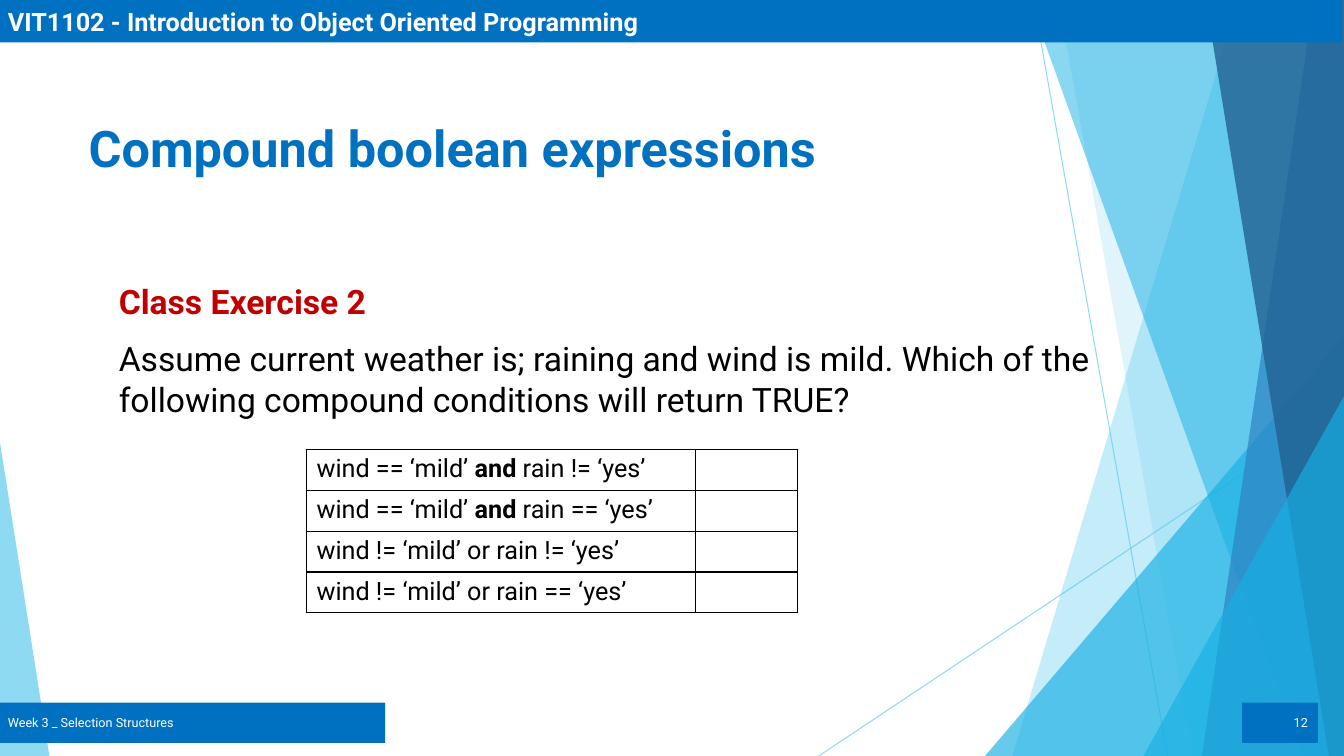
"""Builds the class exercise slide on compound boolean expressions."""
from dataclasses import dataclass

from lxml.etree import SubElement
from pptx import Presentation
from pptx.dml.color import RGBColor
from pptx.enum.shapes import MSO_CONNECTOR as Connector, MSO_SHAPE as Shape
from pptx.enum.text import MSO_ANCHOR as Anchor, PP_ALIGN as Align
from pptx.oxml import parse_xml
from pptx.oxml.ns import nsdecls, qn
from pptx.util import Inches, Pt

WHITE = RGBColor(0xFF, 0xFF, 0xFF)
BLACK = RGBColor(0x00, 0x00, 0x00)
RED = RGBColor(0xC0, 0x00, 0x00)
BLUE = RGBColor(0x00, 0x70, 0xC0)
SKY = RGBColor(0x5F, 0xCB, 0xEF)
CYAN = RGBColor(0x17, 0xB0, 0xE4)
STEEL = RGBColor(0x2E, 0x83, 0xC3)
NAVY = RGBColor(0x22, 0x62, 0x92)
FONT = "Roboto"
WIDTH, HEIGHT = 13.33, 7.5


@dataclass
class Ray:
    """A thin line between two points."""
    start: tuple[float, float]
    end: tuple[float, float]


@dataclass
class Ribbon:
    """A full-height panel from a slanted left edge to the slide's right edge."""
    top_x: float
    bottom_x: float
    color: RGBColor
    opacity: int


@dataclass
class Wedge:
    """A triangle standing on the slide's bottom edge."""
    left: float
    top: float
    width: float
    apex: float
    color: RGBColor
    opacity: int


@dataclass
class Bar:
    """A blue rectangle with white text."""
    text: str
    left: float
    top: float
    width: float
    height: float
    size: int
    bold: bool = False
    align: Align = Align.LEFT


RAYS = [Ray((10.25, 0), (11.58, HEIGHT)), Ray((WIDTH, 4.03), (8.12, HEIGHT))]
PANELS = [
    Ribbon(12.28, 10.04, SKY, 36),
    Ribbon(10.5, 11.83, SKY, 20),
    Wedge(9.77, 3.33, 3.56, 1, CYAN, 66),
    Ribbon(10.21, 12.91, CYAN, 50),
    Ribbon(13.03, 11.92, STEEL, 70),
    Ribbon(11.96, 13.18, NAVY, 80),
    Wedge(11.34, 3.93, 1.99, 1, CYAN, 66),
    Wedge(0, 4.39, 0.49, 0, SKY, 70),
]
BARS = [
    Bar("VIT1102 - Introduction to Object Oriented Programming", -0.02, 0, WIDTH, 0.42, 18, bold=True),
    Bar("12", 12.32, 6.97, 0.75, 0.4, 9, align=Align.RIGHT),
    Bar("Week 3 _ Selection Structures", -0.02, 6.97, 3.84, 0.4, 9),
]
CONDITIONS = [
    ("wind == ‘mild’ ", "and", " rain != ‘yes’"),
    ("wind == ‘mild’ ", "and", " rain == ‘yes’"),
    ("wind != ‘mild’ or rain != ‘yes’",),
    ("wind != ‘mild’ or rain == ‘yes’",),
]


def add_span(para, text: str, *, size: int, color: RGBColor = BLACK, bold: bool = False) -> None:
    """Append formatted text to a paragraph."""
    span = para.add_run()
    span.text = text
    span.font.name = FONT
    span.font.size = Pt(size)
    span.font.bold = bold
    span.font.color.rgb = color


def set_opacity(shape, percent: int) -> None:
    """Make the colours of a shape or line partly transparent."""
    for color in shape.element.spPr.iter(qn("a:srgbClr")):
        SubElement(color, qn("a:alpha"), val=str(percent * 1000))


def paint(shape, color: RGBColor, opacity: int = 100) -> None:
    """Fill a shape without outline or shadow."""
    shape.shadow.inherit = False
    shape.line.fill.background()
    shape.fill.solid()
    shape.fill.fore_color.rgb = color
    if opacity < 100:
        set_opacity(shape, opacity)


def draw_ray(page, ray: Ray) -> None:
    """Draw a thin translucent line."""
    points = [Inches(value) for value in (*ray.start, *ray.end)]
    line = page.shapes.add_connector(Connector.STRAIGHT, *points)
    line.line.color.rgb = SKY
    line.line.width = Pt(0.75)
    set_opacity(line, 70)
    SubElement(line.element.spPr, qn("a:effectLst"))


def draw_panel(page, panel: Ribbon | Wedge) -> None:
    """Draw one translucent background panel."""
    if isinstance(panel, Wedge):
        shape = page.shapes.add_shape(
            Shape.ISOSCELES_TRIANGLE, Inches(panel.left), Inches(panel.top),
            Inches(panel.width), Inches(HEIGHT - panel.top))
        shape.adjustments[0] = panel.apex
    else:
        corners = [(panel.top_x, 0), (WIDTH, 0), (WIDTH, HEIGHT), (panel.bottom_x, HEIGHT)]
        points = [(Inches(x), Inches(y)) for x, y in corners]
        outline = page.shapes.build_freeform(*points[0])
        outline.add_line_segments(points[1:], close=True)
        shape = outline.convert_to_shape()
    paint(shape, panel.color, panel.opacity)


def draw_bar(page, bar: Bar) -> None:
    """Draw a labelled blue bar."""
    shape = page.shapes.add_shape(
        Shape.RECTANGLE, Inches(bar.left), Inches(bar.top), Inches(bar.width), Inches(bar.height))
    paint(shape, BLUE)
    frame = shape.text_frame
    frame.word_wrap = True
    frame.vertical_anchor = Anchor.MIDDLE
    para = frame.paragraphs[0]
    para.alignment = bar.align
    add_span(para, bar.text, size=bar.size, color=WHITE, bold=bar.bold)


def add_box(page, left: float, top: float, width: float, height: float):
    """Add a wrapping text box and return its text frame."""
    box = page.shapes.add_textbox(Inches(left), Inches(top), Inches(width), Inches(height))
    box.text_frame.word_wrap = True
    return box.text_frame


def add_borders(cell) -> None:
    """Give a cell thin black borders on all sides."""
    for index, side in enumerate(("lnL", "lnR", "lnT", "lnB")):
        border = parse_xml(
            f'<a:{side} {nsdecls("a")} w="12700"><a:solidFill>'
            f'<a:srgbClr val="{BLACK}"/></a:solidFill></a:{side}>')
        cell._tc.get_or_add_tcPr().insert(index, border)


def draw_table(page) -> None:
    """Draw the conditions with an empty answer column."""
    table = page.shapes.add_table(
        len(CONDITIONS), 2, Inches(3.04), Inches(4.46), Inches(4.87), Inches(1.62)).table
    table.first_row = table.horz_banding = False
    for column, width in zip(table.columns, (3.86, 1.01)):
        column.width = Inches(width)
    for cell in table.iter_cells():
        cell.fill.background()
        add_borders(cell)
    for row, pieces in enumerate(CONDITIONS):
        para = table.cell(row, 0).text_frame.paragraphs[0]
        for piece in pieces:
            add_span(para, piece, size=18, bold=piece == "and")


def main() -> None:
    """Build and save the deck."""
    deck = Presentation()
    deck.slide_width, deck.slide_height = Inches(WIDTH), Inches(HEIGHT)
    page = deck.slides.add_slide(deck.slide_layouts[6])
    for ray in RAYS:
        draw_ray(page, ray)
    for panel in PANELS:
        draw_panel(page, panel)
    for bar in BARS:
        draw_bar(page, bar)
    title = add_box(page, 0.78, 1.11, 10.42, 0.71)
    add_span(title.paragraphs[0], "Compound boolean expressions", size=36, color=BLUE, bold=True)
    body = add_box(page, 1.08, 2.74, 10.93, 1.6)
    exercise, question = body.paragraphs[0], body.add_paragraph()
    add_span(exercise, "Class Exercise 2", size=24, color=RED, bold=True)
    add_span(question, "Assume current weather is; raining and wind is mild. "
             "Which of the following compound conditions will return TRUE?", size=24)
    for para in body.paragraphs:
        para.space_before = para.space_after = Pt(6)
    draw_table(page)
    deck.save("out.pptx")


if __name__ == "__main__":
    main()
